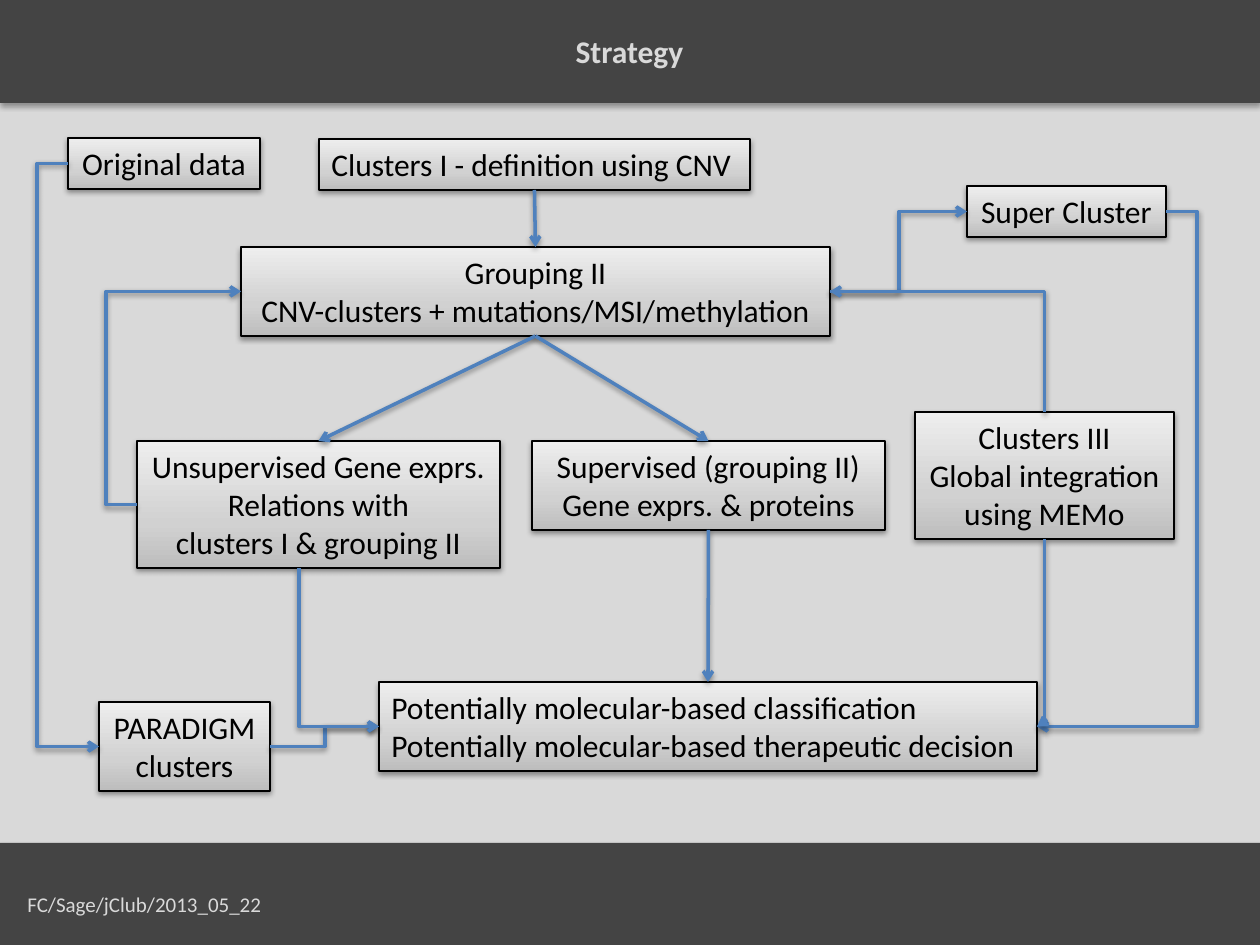
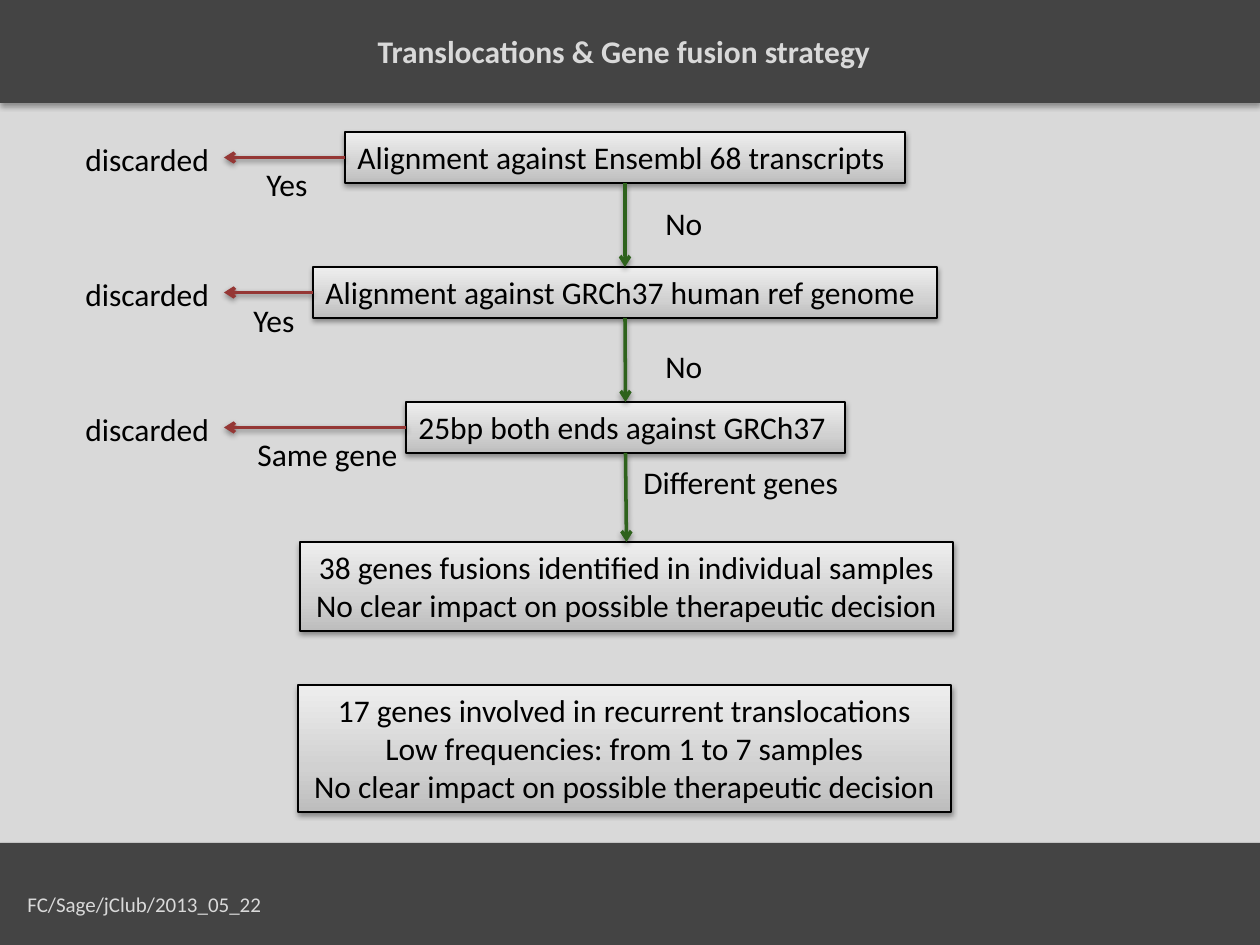
"""Build two flowchart slides: the clustering strategy and the gene fusion strategy."""
import copy

import lxml.etree
import pptx
import pptx.dml.color
import pptx.enum.shapes
import pptx.enum.text
import pptx.oxml
import pptx.oxml.ns
import pptx.util

PX = pptx.util.Inches(1) / 126
COLORS = {"page": "D9D9D9", "band": "444444", "ink": "000000", "flow": "4F81BD",
          "kept": "2E621C", "dropped": "953735"}
CARD_STOPS = [(0, "BDBDBD"), (0.35, "D1D1D1"), (1, "EEEEEE")]
RGB = pptx.dml.color.RGBColor.from_string
QN = pptx.oxml.ns.qn
RECTANGLE = pptx.enum.shapes.MSO_SHAPE.RECTANGLE
STRAIGHT = pptx.enum.shapes.MSO_CONNECTOR.STRAIGHT
ELBOW = pptx.enum.shapes.MSO_CONNECTOR.ELBOW
LEFT = pptx.enum.text.PP_ALIGN.LEFT
CENTER = pptx.enum.text.PP_ALIGN.CENTER
TOP, LEFT_SIDE, BOTTOM, RIGHT_SIDE = range(4)


def write(shape, text, color="ink", size=18, align=LEFT, bold=False):
    """Fill a shape with unwrapped Calibri text."""
    frame = shape.text_frame
    frame.text = text
    frame.word_wrap = False
    frame.auto_size = pptx.enum.text.MSO_AUTO_SIZE.SHAPE_TO_FIT_TEXT
    frame.vertical_anchor = pptx.enum.text.MSO_ANCHOR.TOP
    for paragraph in frame.paragraphs:
        paragraph.alignment = align
        for run in paragraph.runs:
            run.font.name = "Calibri"
            run.font.size = pptx.util.Pt(size)
            run.font.bold = bold
            run.font.color.rgb = RGB(COLORS[color])


def cast_shadow(shape, distance=20000, opacity=38000):
    """Give a shape or connector a soft shadow straight below it."""
    shape.element.spPr.append(pptx.oxml.parse_xml(
        f'<a:effectLst {pptx.oxml.ns.nsdecls("a")}>'
        f'<a:outerShdw blurRad="40000" dist="{distance}" dir="5400000" rotWithShape="0">'
        f'<a:srgbClr val="000000"><a:alpha val="{opacity}"/></a:srgbClr>'
        '</a:outerShdw></a:effectLst>'))


deck = pptx.Presentation()
deck.slide_width = round(1260 * PX)
deck.slide_height = round(945 * PX)
layout = deck.slide_layouts[5]
layout.background.fill.solid()
layout.background.fill.fore_color.rgb = RGB(COLORS["page"])
for placeholder in list(layout.placeholders)[1:]:
    layout.shapes.element.remove(placeholder.element)

strategy = deck.slides.add_slide(layout)
fusion = deck.slides.add_slide(layout)

for top in (0, 843):
    band = strategy.shapes.add_shape(RECTANGLE, 0, round(top * PX), deck.slide_width, round(103 * PX))
    band.fill.solid()
    band.fill.fore_color.rgb = RGB(COLORS["band"])
    band.line.fill.background()
    cast_shadow(band, 23000, 35000)
    layout.shapes.element.append(band.element)
footer = strategy.shapes.add_textbox(*[round(n * PX) for n in (15, 885, 262, 38)])
write(footer, "FC/Sage/jClub/2013_05_22", "page", 12)
layout.shapes.element.append(footer.element)

for slide, heading, left, width in [
    (strategy, "Strategy", 563, 137),
    (fusion, "Translocations & Gene fusion strategy", 365, 529),
]:
    title = slide.shapes.title
    title.left, title.top, title.width, title.height = [round(n * PX) for n in (left, 26, width, 51)]
    write(title, heading, "page", bold=True)

cards = {}
for slide, key, text, left, top, width, align in [
    (strategy, "clusters I", "Clusters I - definition using CNV", 319, 139, 431, LEFT),
    (strategy, "grouping", "Grouping II\nCNV-clusters + mutations/MSI/methylation", 241, 247, 589, CENTER),
    (strategy, "unsupervised", "Unsupervised Gene exprs.\nRelations with\nclusters I & grouping II",
     137, 441, 363, CENTER),
    (strategy, "supervised", "Supervised (grouping II)\nGene exprs. & proteins", 532, 441, 353, CENTER),
    (strategy, "clusters III", "Clusters III\nGlobal integration\nusing MEMo", 915, 412, 259, CENTER),
    (strategy, "decision", "Potentially molecular-based classification\n"
     "Potentially molecular-based therapeutic decision", 379, 682, 658, LEFT),
    (strategy, "super", "Super Cluster", 967, 186, 199, CENTER),
    (strategy, "data", "Original data", 68, 138, 192, CENTER),
    (strategy, "paradigm", "PARADIGM\nclusters", 99, 702, 171, CENTER),
    (fusion, "transcripts", "Alignment against Ensembl 68 transcripts", 345, 132, 560, LEFT),
    (fusion, "genome", "Alignment against GRCh37 human ref genome", 313, 267, 624, LEFT),
    (fusion, "both ends", "25bp both ends against GRCh37", 406, 402, 439, LEFT),
    (fusion, "fusions", "38 genes fusions identified in individual samples\n"
     "No clear impact on possible therapeutic decision", 300, 542, 653, CENTER),
    (fusion, "recurrent", "17 genes involved in recurrent translocations\n"
     "Low frequencies: from 1 to 7 samples\n"
     "No clear impact on possible therapeutic decision", 298, 685, 653, CENTER),
]:
    height = 51 + 38 * text.count("\n")
    card = slide.shapes.add_shape(RECTANGLE, *[round(n * PX) for n in (left, top, width, height)])
    card.fill.gradient()
    card.fill.gradient_angle = 90
    stops = card.element.spPr.find(".//" + QN("a:gsLst"))
    stops.insert(1, copy.deepcopy(stops[0]))
    for stop, (position, color) in zip(card.fill.gradient_stops, CARD_STOPS):
        stop.position = position
        stop.color.rgb = RGB(color)
    card.line.color.rgb = RGB(COLORS["ink"])
    card.line.width = pptx.util.Pt(0.75)
    cast_shadow(card)
    write(card, text, align=align)
    cards[key] = card

for text, left, top, width in [
    ("Yes", 254, 159, 69), ("Yes", 241, 295, 69), ("Same gene", 245, 429, 168),
    ("No", 653, 198, 63), ("No", 653, 341, 63), ("Different genes", 631, 457, 224),
    *[("discarded", 73, 134 + 135 * step, 151) for step in range(3)],
]:
    label = fusion.shapes.add_textbox(*[round(n * PX) for n in (left, top, width, 51)])
    write(label, text)

arrows = []
for slide, source, target, color in [
    (strategy, "clusters I", "grouping", "flow"),
    (strategy, "grouping", "unsupervised", "flow"),
    (strategy, "grouping", "supervised", "flow"),
    (strategy, "supervised", "decision", "flow"),
    (fusion, "transcripts", "genome", "kept"),
    (fusion, "genome", "both ends", "kept"),
    (fusion, "both ends", "fusions", "kept"),
]:
    arrow = slide.shapes.add_connector(STRAIGHT, 0, 0, 0, 0)
    arrow.begin_connect(cards[source], BOTTOM)
    arrow.end_connect(cards[target], TOP)
    arrows.append((arrow, color, "a:tailEnd"))

for source in ("transcripts", "genome", "both ends"):
    card = cards[source]
    middle = card.top + card.height // 2
    arrow = fusion.shapes.add_connector(STRAIGHT, card.left, middle, round(224 * PX), middle)
    arrow.begin_connect(card, LEFT_SIDE)
    arrows.append((arrow, "dropped", "a:tailEnd"))

for source, source_side, target, target_side, turn in [
    ("unsupervised", LEFT_SIDE, "grouping", LEFT_SIDE, 106),
    ("grouping", RIGHT_SIDE, "super", LEFT_SIDE, 899),
    ("super", RIGHT_SIDE, "decision", RIGHT_SIDE, 1197),
    ("data", LEFT_SIDE, "paradigm", LEFT_SIDE, 37),
    ("paradigm", RIGHT_SIDE, "decision", LEFT_SIDE, 325),
]:
    arrow = strategy.shapes.add_connector(ELBOW, 0, 0, 0, 0)
    arrow.begin_connect(cards[source], source_side)
    arrow.end_connect(cards[target], target_side)
    share = (turn * PX - arrow.begin_x) / (arrow.end_x - arrow.begin_x)
    adjustments = arrow.element.spPr.find(".//" + QN("a:avLst"))
    lxml.etree.SubElement(adjustments, QN("a:gd"), name="adj1", fmla=f"val {round(share * 100000)}")
    arrows.append((arrow, "flow", "a:tailEnd"))

for target, target_side, source, source_side, corner in [
    ("grouping", RIGHT_SIDE, "clusters III", TOP, 1044),
    ("decision", RIGHT_SIDE, "clusters III", BOTTOM, 1044),
    ("decision", LEFT_SIDE, "unsupervised", None, 299),
]:
    card = cards[source]
    arrow = strategy.shapes.add_connector(ELBOW, 0, 0, round(corner * PX), card.top + card.height)
    arrow.begin_connect(cards[target], target_side)
    if source_side is not None:
        arrow.end_connect(card, source_side)
    arrow.element.spPr.find(QN("a:prstGeom")).set("prst", "bentConnector2")
    arrows.append((arrow, "flow", "a:headEnd"))

for arrow, color, tip in arrows:
    arrow.line.color.rgb = RGB(COLORS[color])
    arrow.line.width = pptx.util.Pt(2)
    lxml.etree.SubElement(arrow.element.spPr.find(QN("a:ln")), QN(tip), type="arrow")
    cast_shadow(arrow)

deck.save("out.pptx")
